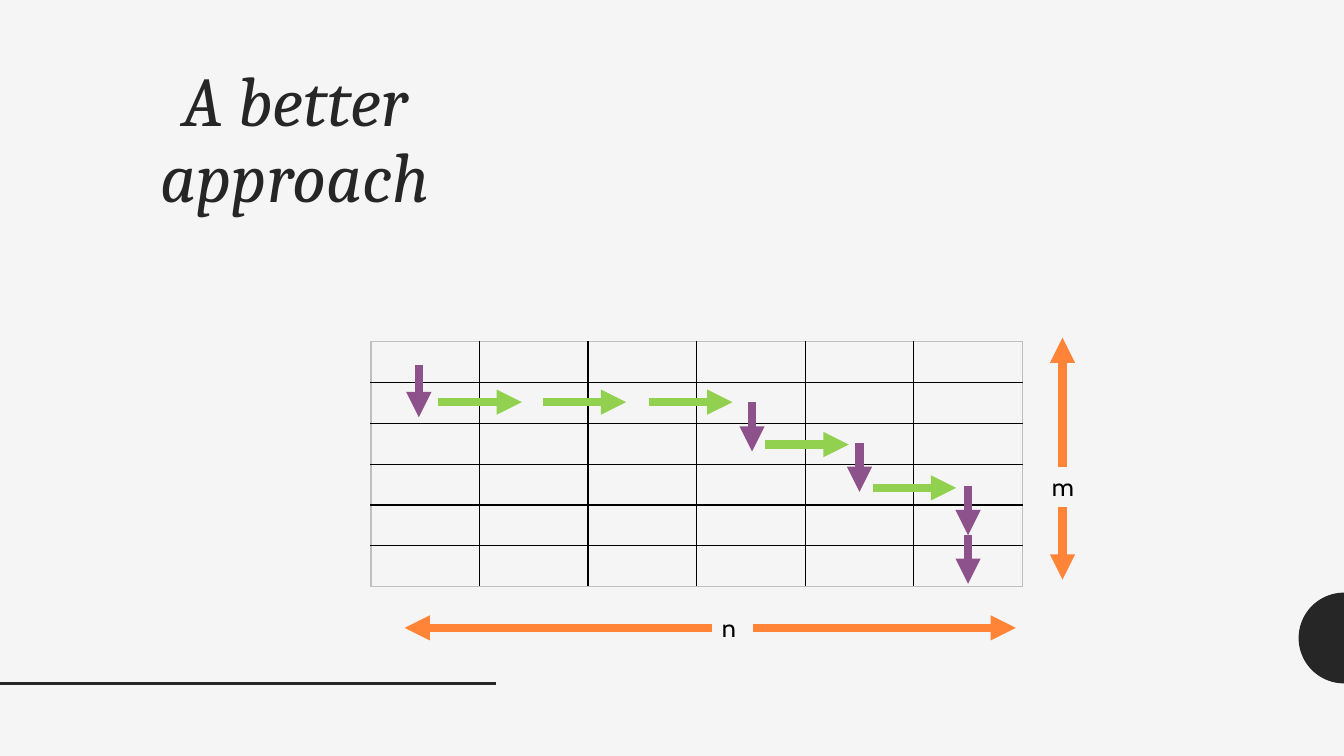
from dataclasses import dataclass
from math import cos, pi, sin

from lxml.etree import SubElement
from pptx import Presentation
from pptx.dml.color import RGBColor
from pptx.enum.shapes import MSO_CONNECTOR
from pptx.enum.text import MSO_ANCHOR, MSO_AUTO_SIZE, PP_ALIGN
from pptx.oxml.ns import qn
from pptx.util import Inches, Pt

SLIDE_W, SLIDE_H = 13.33, 7.5
INK, PAPER, EDGE, BLACK = "262626", "F5F5F5", "BFBFBF", "000000"
ORANGE, PURPLE, GREEN = "FF8438", "8D518B", "92D050"

# Matrix: origin and size in inches; everything around it is in its columns and rows
LEFT, TOP, WIDTH, HEIGHT = 3.68, 3.39, 6.46, 2.43
COLS = ROWS = 6
LABEL_W, LABEL_H = 0.38, 1


@dataclass
class Arrow:
    color: str
    col: float
    row: float
    to_col: float
    to_row: float


@dataclass
class Dimension:
    """A letter centred at (col, row), with an arrow from each of two sides."""
    text: str
    col: float
    row: float
    ends: dict[int, tuple[float, float]]  # connection site: arrow tip


DIMENSIONS = [
    Dimension("n", 3.33, 7.01, {1: (0.31, 7.01), 3: (5.94, 7.01)}),
    Dimension("m", 6.37, 3.56, {0: (6.37, -0.1), 2: (6.37, 5.83)}),
]
DOWN_STEPS = [(0.44, 0.57, 1.85), (3.51, 1.48, 2.69), (4.5, 2.47, 3.68),
              (5.5, 3.53, 4.74), (5.5, 4.74, 5.93)]
RIGHT_STEPS = [(0.62, 1.48), (1.58, 1.48), (2.56, 1.48), (3.63, 2.52), (4.62, 3.58)]
STEP_COLS = 0.77
STEPS = [Arrow(PURPLE, c, r, c, end) for c, r, end in DOWN_STEPS]
STEPS += [Arrow(GREEN, c, r, c + STEP_COLS, r) for c, r in RIGHT_STEPS]


def rgb(color: str) -> RGBColor:
    return RGBColor.from_string(color)


def at_col(col: float) -> int:
    return Inches(LEFT + col * WIDTH / COLS)


def at_row(row: float) -> int:
    return Inches(TOP + row * HEIGHT / ROWS)


def add_line(s, x1: int, y1: int, x2: int, y2: int, color: str, width: float):
    cn = s.shapes.add_connector(MSO_CONNECTOR.STRAIGHT, x1, y1, x2, y2)
    cn.line.color.rgb = rgb(color)
    cn.line.width = Pt(width)
    SubElement(cn._element.spPr, qn("a:effectLst"))
    return cn


def add_arrow(s, a: Arrow):
    cn = add_line(s, at_col(a.col), at_row(a.row), at_col(a.to_col), at_row(a.to_row),
                  a.color, 6)
    SubElement(cn.line._get_or_add_ln(), qn("a:tailEnd"), type="triangle")
    return cn


def add_text(s, x: int, y: int, w: int, h: int, text: str, font: str, size: float, color: str):
    sp = s.shapes.add_textbox(x, y, w, h)
    tf = sp.text_frame
    tf.word_wrap = True
    tf.vertical_anchor = MSO_ANCHOR.TOP
    p = tf.paragraphs[0]
    r = p.add_run()
    r.text = text
    r.font.name, r.font.size = font, Pt(size)
    r.font.color.rgb = rgb(color)
    return sp, p, r


def add_title(s) -> None:
    _, p, r = add_text(s, Inches(0.83), Inches(0.61), Inches(4.19), Inches(5.42),
                       "A better approach", "Cambria", 50, INK)
    p.alignment, p.line_spacing = PP_ALIGN.CENTER, 0.9
    r.font.italic = True


def add_decoration(s) -> None:
    """Half disc on the right edge and the rule at the lower left."""
    cx, cy, radius, parts = SLIDE_W, 6.33, 0.45, 48
    points = [(Inches(cx - radius * sin(pi * i / parts)), Inches(cy - radius * cos(pi * i / parts)))
              for i in range(parts + 1)]
    fb = s.shapes.build_freeform(*points[0])
    fb.add_line_segments(points[1:], close=True)
    sp = fb.convert_to_shape()
    sp.shadow.inherit = False
    sp.fill.solid()
    sp.fill.fore_color.rgb = rgb(INK)
    sp.line.fill.background()
    add_line(s, 0, Inches(6.78), Inches(4.92), Inches(6.78), INK, 2)


def set_border(cell, side: str, color: str) -> None:
    ln = SubElement(cell._tc.get_or_add_tcPr(), qn(f"a:{side}"), w=str(Pt(1)))
    fill = SubElement(ln, qn("a:solidFill"))
    SubElement(fill, qn("a:srgbClr"), val=color)


def add_matrix(s) -> None:
    table = s.shapes.add_table(ROWS, COLS, Inches(LEFT), Inches(TOP),
                               Inches(WIDTH), Inches(HEIGHT)).table
    table.first_row = table.horz_banding = False
    for i in range(ROWS):
        for j in range(COLS):
            cell = table.cell(i, j)
            cell.margin_top = cell.margin_bottom = 0
            outer = {"lnL": j == 0, "lnR": j == COLS - 1, "lnT": i == 0, "lnB": i == ROWS - 1}
            for side, is_outer in outer.items():
                set_border(cell, side, EDGE if is_outer else BLACK)
            cell.fill.background()


def add_dimension(s, d: Dimension) -> None:
    sp, _, _ = add_text(s, at_col(d.col - LABEL_W / 2), at_row(d.row - LABEL_H / 2),
                        Inches(LABEL_W * WIDTH / COLS), Inches(LABEL_H * HEIGHT / ROWS),
                        d.text, "Cabin", 18, BLACK)
    sp.text_frame.auto_size = MSO_AUTO_SIZE.SHAPE_TO_FIT_TEXT
    for site, tip in d.ends.items():
        add_arrow(s, Arrow(ORANGE, d.col, d.row, *tip)).begin_connect(sp, site)


def main() -> None:
    prs = Presentation()
    prs.slide_width, prs.slide_height = Inches(SLIDE_W), Inches(SLIDE_H)
    s = prs.slides.add_slide(prs.slide_layouts[6])
    s.background.fill.solid()
    s.background.fill.fore_color.rgb = rgb(PAPER)
    add_decoration(s)
    add_title(s)
    add_matrix(s)
    for d in DIMENSIONS:
        add_dimension(s, d)
    for a in STEPS:
        add_arrow(s, a)
    prs.save("out.pptx")


if __name__ == "__main__":
    main()
